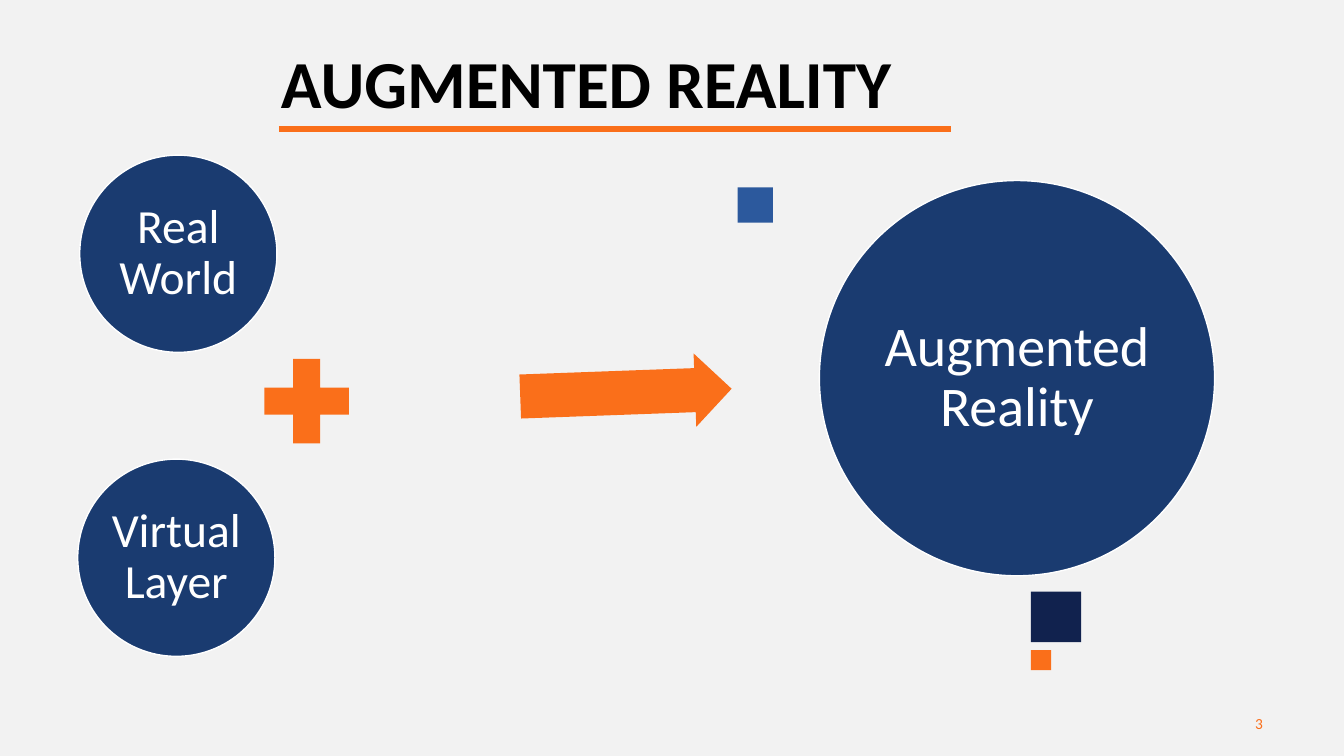
from lxml import etree
from pptx import Presentation
from pptx import util as u
from pptx.dml.color import RGBColor
from pptx.enum import shapes, text
from pptx.oxml.ns import qn

NAVY, DARK, BLUE, ORANGE = "1A3B70", "11224E", "2C599D", "FA6F1A"
WHITE, BLACK, GREY = "FFFFFF", "000000", "F2F2F2"
KIND = shapes.MSO_SHAPE
ALIGN = text.PP_ALIGN
ANCHOR = text.MSO_ANCHOR


def color(value):
    return RGBColor.from_string(value)


def cm(*values):
    return [u.Cm(v) for v in values]


def write(sp, words, size, fill, bold=False, align=ALIGN.CENTER,
          anchor=ANCHOR.MIDDLE, spacing=0.9, inset=0.0):
    tf = sp.text_frame
    tf.word_wrap = True
    tf.auto_size = text.MSO_AUTO_SIZE.NONE
    tf.vertical_anchor = anchor
    tf.margin_left = tf.margin_right = u.Cm(inset)
    tf.margin_top = tf.margin_bottom = u.Cm(0.13)
    p = tf.paragraphs[0]
    p.alignment = align
    p.line_spacing = spacing
    r = p.add_run()
    r.text = words
    r.font.name = "Calibri"
    r.font.size = u.Pt(size)
    r.font.bold = bold
    r.font.color.rgb = color(fill)


def draw(s, kind, box, fill, line=None):
    sp = s.shapes.add_shape(kind, *cm(*box))
    sp.shadow.inherit = False
    sp.fill.solid()
    sp.fill.fore_color.rgb = color(fill)
    if line:
        sp.line.color.rgb = color(line)
        sp.line.width = u.Pt(1)
    else:
        sp.line.fill.background()
    return sp


def circle(s, left, top, size, words, points):
    sp = draw(s, KIND.OVAL, (left, top, size, size), NAVY, WHITE)
    write(sp, words, points, WHITE)


def heading(s, left, top, width, height):
    title = s.shapes.title
    title.left, title.top, title.width, title.height = cm(left, top, width, height)
    write(title, "AUGMENTED REALITY", 48, BLACK, bold=True,
          align=ALIGN.LEFT, anchor=ANCHOR.TOP, inset=0.25)
    start, y = left + 0.2, top + 2.11
    rule = s.shapes.add_connector(shapes.MSO_CONNECTOR.STRAIGHT,
                                  *cm(start, y, start + 16.93, y))
    rule.line.color.rgb = color(ORANGE)
    rule.line.width = u.Pt(4.32)
    etree.SubElement(rule._element.spPr, qn("a:effectLst"))


def decoration(s, left, top):
    for dx, dy, size, fill in ((7.39, 10.19, 1.27, DARK),
                               (0, 0, 0.89, BLUE),
                               (7.39, 11.66, 0.51, ORANGE)):
        draw(s, KIND.RECTANGLE, (left + dx, top + dy, size, size), fill)


def equation(s, left, top):
    circle(s, left + 0.05, top, 4.97, "Real World", 34)
    draw(s, KIND.MATH_PLUS, (left + 4.32, top + 4.75, 2.9, 2.9), ORANGE)
    circle(s, left, top + 7.66, 4.97, "Virtual Layer", 34)
    arrow = draw(s, KIND.RIGHT_ARROW, (left + 11.15, top + 5.06, 5.33, 1.85), ORANGE)
    arrow.adjustments[0] = 0.6
    arrow.adjustments[1] = 0.5
    arrow.rotation = 357.9
    circle(s, left + 18.69, top + 0.64, 9.96, "Augmented Reality", 40)


def page_number(s, left, top, width, height):
    sp = s.shapes.add_textbox(*cm(left, top, width, height))
    write(sp, "3", 11, ORANGE, align=ALIGN.RIGHT, spacing=1.0, inset=0.25)


def main():
    prs = Presentation()
    prs.slide_width, prs.slide_height = cm(33.87, 19.05)
    s = prs.slides.add_slide(prs.slide_layouts[5])
    s.background.fill.solid()
    s.background.fill.fore_color.rgb = color(GREY)
    page_number(s, 24.46, 17.73, 7.62, 1.02)
    decoration(s, 18.59, 4.72)
    heading(s, 6.83, 1.14, 18.42, 2.54)
    equation(s, 1.96, 3.91)
    prs.save("out.pptx")


if __name__ == "__main__":
    main()
